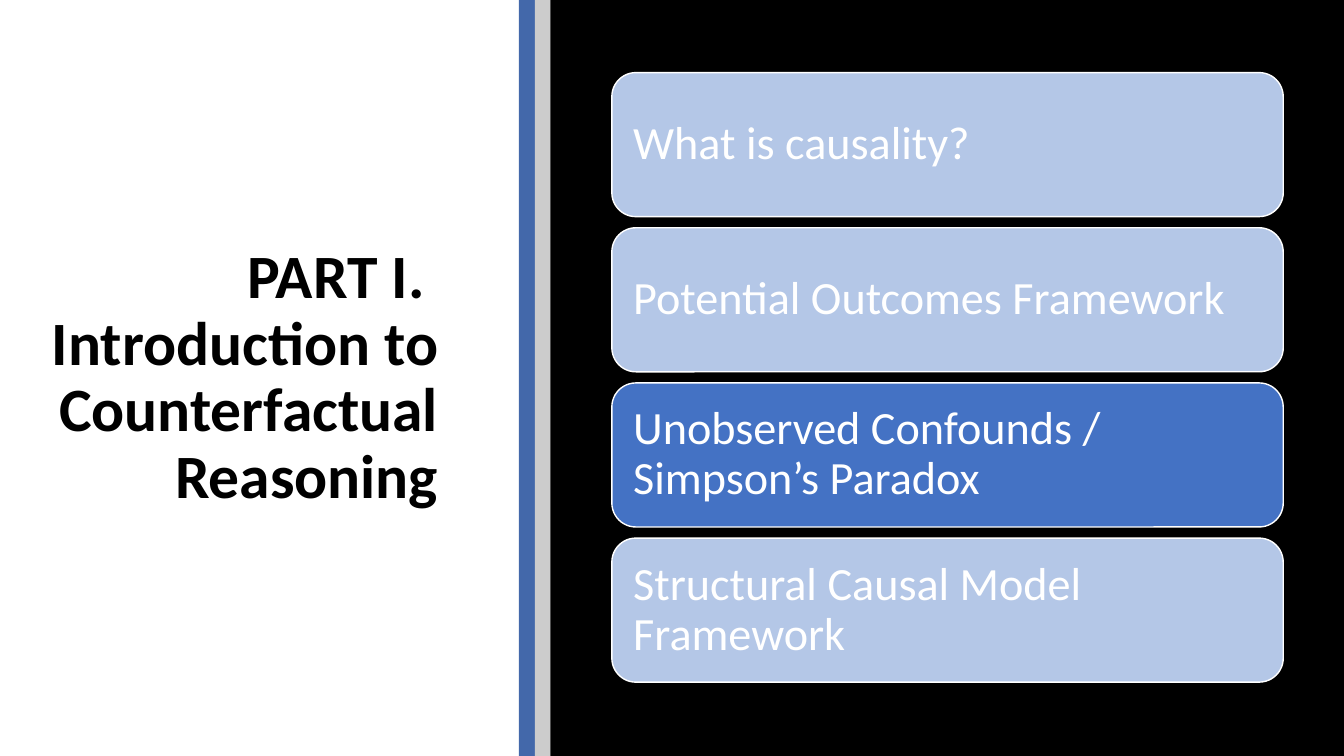
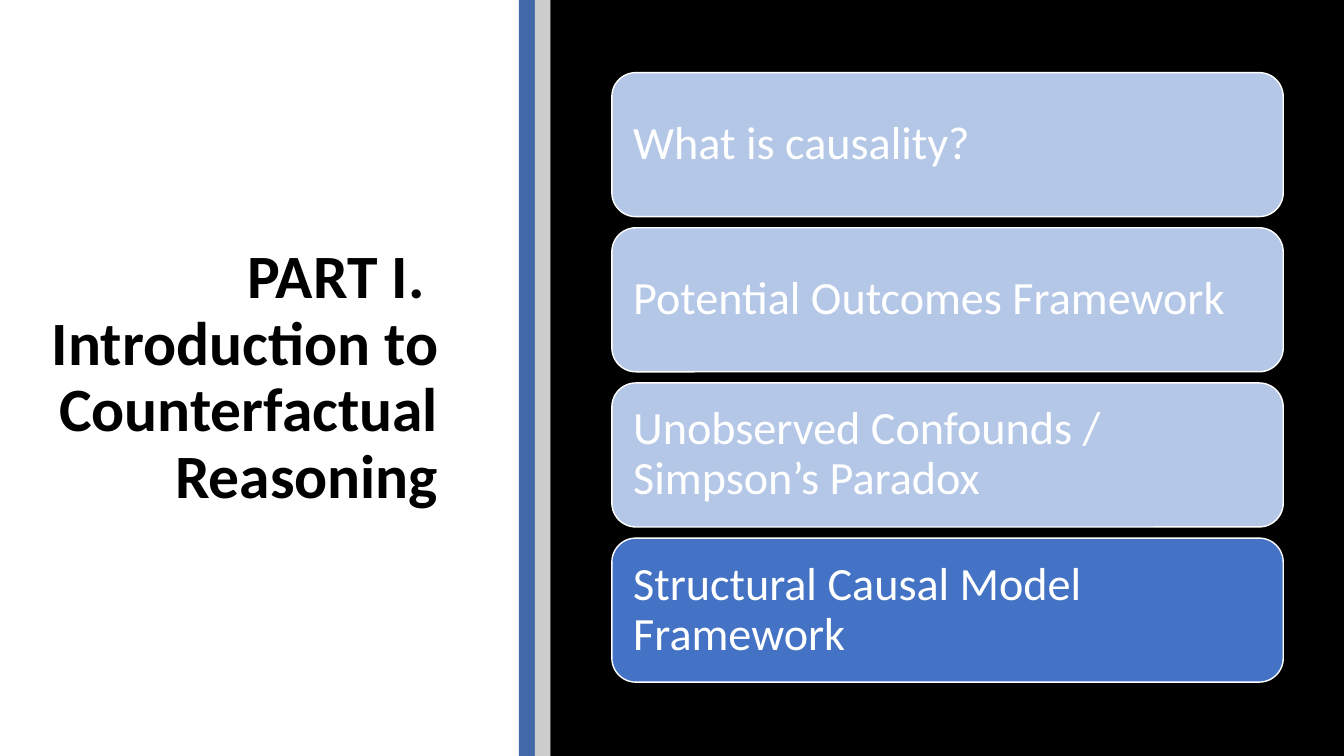
from pptx import Presentation
from pptx.dml.color import RGBColor
from pptx.enum.shapes import MSO_SHAPE
from pptx.enum.text import MSO_ANCHOR, MSO_AUTO_SIZE, PP_ALIGN
from pptx.util import Cm, Pt

RECT, ROUNDED = MSO_SHAPE.RECTANGLE, MSO_SHAPE.ROUNDED_RECTANGLE
MIDDLE, NO_FIT = MSO_ANCHOR.MIDDLE, MSO_AUTO_SIZE.NONE
LEFT, RIGHT = PP_ALIGN.LEFT, PP_ALIGN.RIGHT

BLACK = RGBColor(0x00, 0x00, 0x00)
WHITE = RGBColor(0xFF, 0xFF, 0xFF)
GRAY = RGBColor(0xCC, 0xCC, 0xCC)
STRIPE_BLUE = RGBColor(0x43, 0x68, 0xAA)
ACTIVE_BLUE = RGBColor(0x44, 0x72, 0xC4)
PALE_BLUE = RGBColor(0xB4, 0xC7, 0xE7)

SLIDE_W, SLIDE_H = 33.87, 19.05
TITLE_ONLY = 5

TITLE = "PART I. \vIntroduction to Counterfactual Reasoning"
TOPICS = [
    "What is causality?",
    "Potential Outcomes Framework",
    "Unobserved Confounds / Simpson’s Paradox",
    "Structural Causal Model Framework",
]
ACTIVE_TOPICS = [2, 3]  # one agenda slide for each


class Deck:
    """Holds the style and the current slide."""

    title_font = {"name": "Calibri", "size": Pt(44), "bold": True}
    topic_font = {"name": "Calibri", "size": Pt(33), "bold": False}
    # left edge, right edge, colour
    bands = [
        (13.08, 13.48, STRIPE_BLUE),
        (13.48, 13.87, GRAY),
        (13.87, SLIDE_W, BLACK),
    ]
    card_left, card_top = 15.42, 1.83
    card_w, card_h, card_gap = 16.92, 3.63, 0.28
    card_inset = Cm(0.36)

    def __init__(self):
        self.prs = Presentation()
        self.prs.slide_width, self.prs.slide_height = Cm(SLIDE_W), Cm(SLIDE_H)
        self.s = None

    def add_slide(self):
        self.s = self.prs.slides.add_slide(self.prs.slide_layouts[TITLE_ONLY])

    def set_text(self, sp, text, font, color, align):
        tf = sp.text_frame
        tf.word_wrap, tf.auto_size, tf.vertical_anchor = True, NO_FIT, MIDDLE
        tf.text = text
        p = tf.paragraphs[0]
        p.alignment, p.line_spacing = align, 0.9
        for r in p.runs:
            for key, value in font.items():
                setattr(r.font, key, value)
            r.font.color.rgb = color

    def title(self, text):
        sp = self.s.shapes.title
        sp.left, sp.top, sp.width, sp.height = map(Cm, (1.02, 2.69, 10.29, 13.69))
        self.set_text(sp, text, self.title_font, BLACK, RIGHT)

    def shape(self, kind, left, top, width, height, fill, line=None):
        sp = self.s.shapes.add_shape(kind, *map(Cm, (left, top, width, height)))
        sp.shadow.inherit = False
        sp.fill.solid()
        sp.fill.fore_color.rgb = fill
        if line is None:
            sp.line.fill.background()
        else:
            sp.line.color.rgb = line
            sp.line.width = Pt(1)
        return sp

    def side_panel(self):
        for left, right, color in self.bands:
            self.shape(RECT, left, 0, right - left, SLIDE_H, color)

    def topic_card(self, row, text, active):
        top = self.card_top + row * (self.card_h + self.card_gap)
        sp = self.shape(ROUNDED, self.card_left, top, self.card_w, self.card_h,
                        ACTIVE_BLUE if active else PALE_BLUE, WHITE)
        for side in ("left", "right", "top", "bottom"):
            setattr(sp.text_frame, f"margin_{side}", self.card_inset)
        self.set_text(sp, text, self.topic_font, WHITE, LEFT)


def main():
    deck = Deck()
    for active in ACTIVE_TOPICS:
        # Title and vertical bands
        deck.add_slide()
        deck.title(TITLE)
        deck.side_panel()
        # Agenda with the current topic highlighted
        for row, topic in enumerate(TOPICS):
            deck.topic_card(row, topic, row == active)
    deck.prs.save("out.pptx")


if __name__ == "__main__":
    main()
